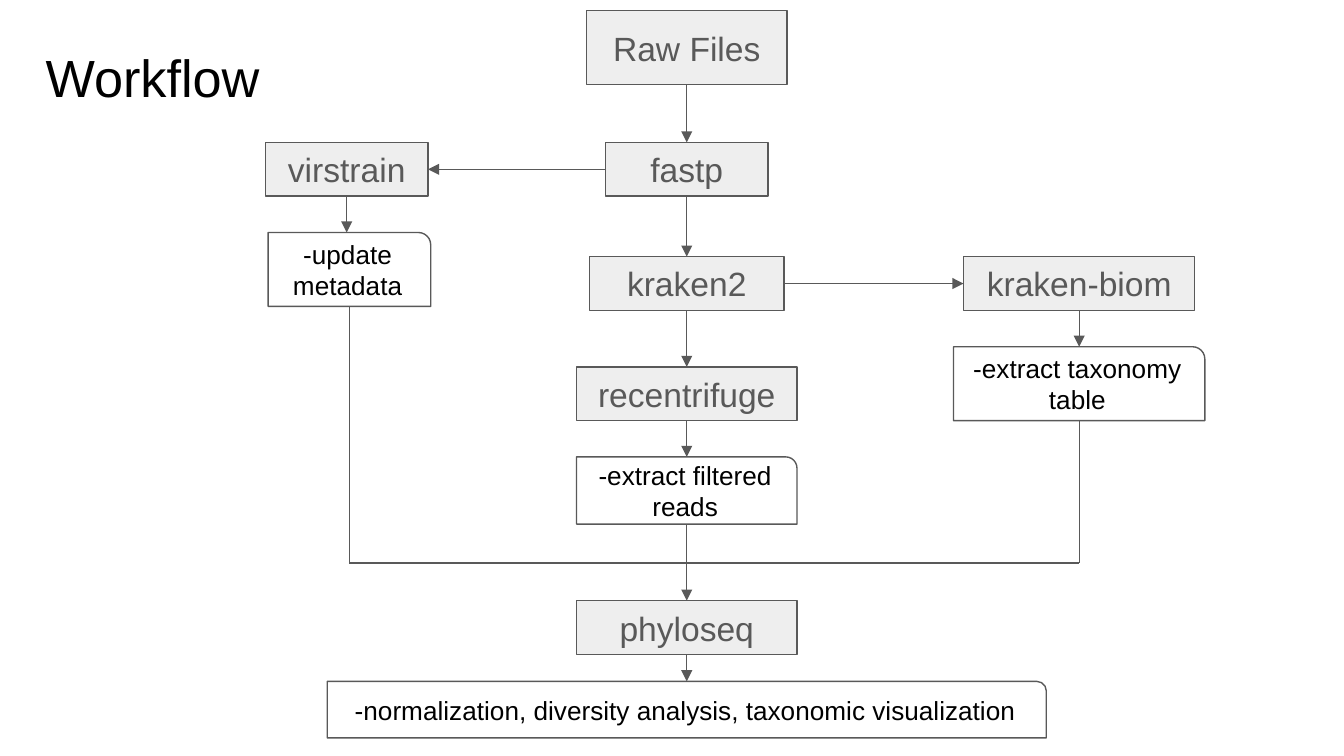
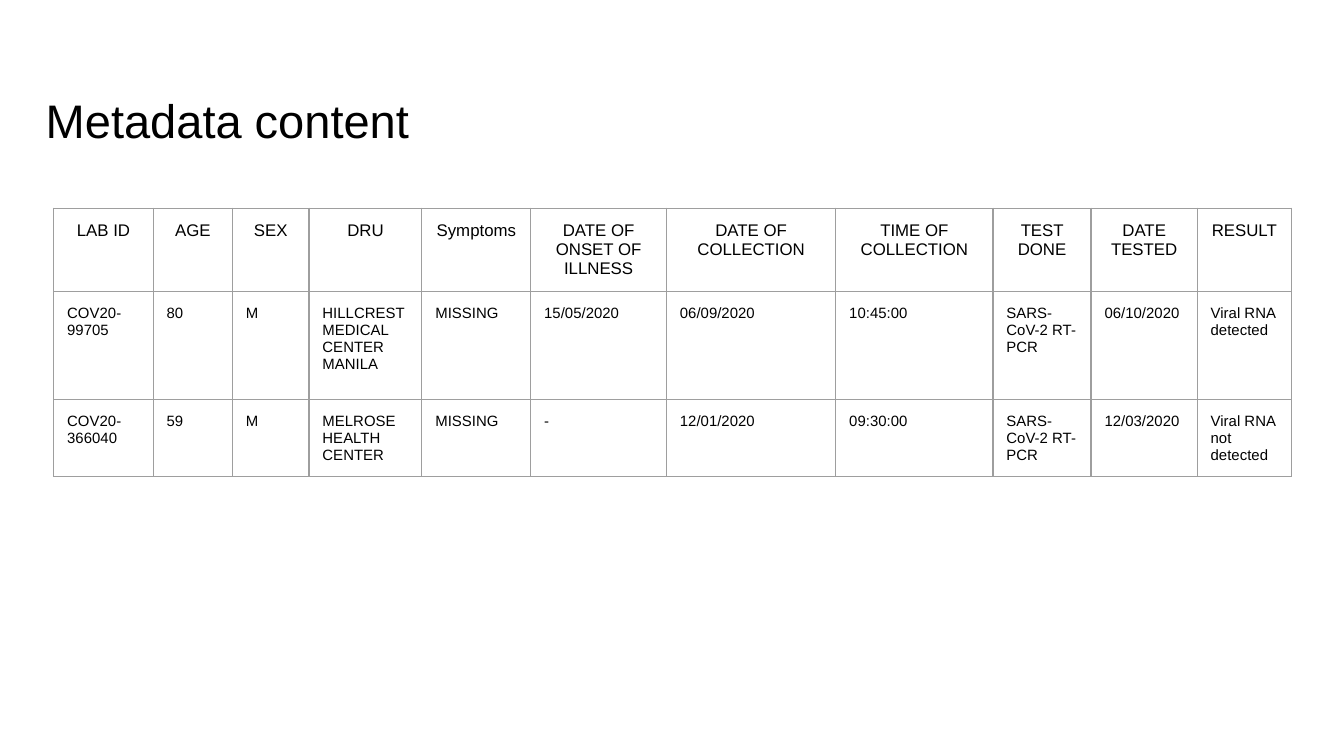
from dataclasses import dataclass

from lxml import etree
from pptx import Presentation
from pptx.dml.color import RGBColor
from pptx.enum.shapes import MSO_CONNECTOR, MSO_SHAPE
from pptx.enum.text import MSO_ANCHOR, MSO_AUTO_SIZE, PP_ALIGN
from pptx.oxml.ns import qn
from pptx.util import Inches, Pt

LEFT_ALIGN, CENTER = PP_ALIGN.LEFT, PP_ALIGN.CENTER
TOP, MIDDLE = MSO_ANCHOR.TOP, MSO_ANCHOR.MIDDLE
RECTANGLE, ROUNDED_CORNER = MSO_SHAPE.RECTANGLE, MSO_SHAPE.ROUND_1_RECTANGLE
STRAIGHT = MSO_CONNECTOR.STRAIGHT
ABOVE, WEST, BELOW, EAST = range(4)


@dataclass(frozen=True)
class Theme:
    font: str = "Arial"
    ink: RGBColor = RGBColor(0x00, 0x00, 0x00)
    paper: RGBColor = RGBColor(0xFF, 0xFF, 0xFF)
    gray: RGBColor = RGBColor(0x59, 0x59, 0x59)
    tool_fill: RGBColor = RGBColor(0xEE, 0xEE, 0xEE)
    border: str = "9E9E9E"
    tool_size: float = 18
    note_size: float = 14
    header_size: float = 9
    cell_size: float = 8
    line: float = 0.75
    inset: float = 0.1


theme = Theme()


def write(frame, text, size, color, align):
    para = frame.paragraphs[0]
    para.alignment = align
    span = para.add_run()
    span.text = text
    span.font.name = theme.font
    span.font.size = Pt(size)
    span.font.bold = False
    span.font.color.rgb = color


def link(page, start, end, arrow=True):
    """Draw a line between two ends, each a (box, side) or an (x, y) in inches."""
    fixed = [isinstance(point[0], (int, float)) for point in (start, end)]
    ends = [[Inches(value) for value in point] if free else [0, 0]
            for point, free in zip((start, end), fixed)]
    connector = page.shapes.add_connector(STRAIGHT, *ends[0], *ends[1])
    if not fixed[0]:
        connector.begin_connect(*start)
    if not fixed[1]:
        connector.end_connect(*end)
    connector.line.color.rgb = theme.gray
    connector.line.width = Pt(theme.line)
    if arrow:
        outline = connector.line._get_or_add_ln()
        etree.SubElement(outline, qn("a:tailEnd"), type="triangle")
    etree.SubElement(connector._element.spPr, qn("a:effectLst"))


deck = Presentation()
deck.slide_width = Inches(10)
deck.slide_height = deck.slide_width * 9 // 16
title_only = deck.slide_layouts[5]

# Pages and their titles: text, top, width, type size
titles = [
    ("Workflow", 0.24, 2.29, 28),
    ("Metadata content", 0.58, 3.15, 25.2),
]
pages = []
for text, top, width, size in titles:
    page = deck.slides.add_slide(title_only)
    page.background.fill.solid()
    page.background.fill.fore_color.rgb = theme.paper
    title = page.shapes.title
    title.left, title.top = Inches(0.24), Inches(top)
    title.width, title.height = Inches(width), Inches(0.81)
    frame = title.text_frame
    frame.auto_size = MSO_AUTO_SIZE.NONE
    frame.vertical_anchor = TOP
    frame.margin_left = frame.margin_right = Inches(theme.inset)
    frame.margin_top = frame.margin_bottom = Inches(theme.inset)
    write(frame, text, size, theme.ink, LEFT_ALIGN)
    pages.append(page)
workflow, metadata = pages

# Workflow: centres of the three columns, and tops of the rows
WEST_COLUMN, MAIN_COLUMN, EAST_COLUMN = 2.58, 5.11, 8.03
FASTP_ROW, KRAKEN_ROW, FILTER_ROW, MERGE_ROW = 1.06, 1.91, 2.73, 4.47
TOOL_HEIGHT, NOTE_HEIGHT = 0.4, 0.55
NOTE_DROP = TOOL_HEIGHT + 0.27
METADATA_CENTER = WEST_COLUMN + 0.02

# Text, centre, top, width, height
tools = [
    ("Raw Files", MAIN_COLUMN, 0.08, 1.49, 0.55),
    ("fastp", MAIN_COLUMN, FASTP_ROW, 1.21, TOOL_HEIGHT),
    ("virstrain", WEST_COLUMN, FASTP_ROW, 1.21, TOOL_HEIGHT),
    ("kraken2", MAIN_COLUMN, KRAKEN_ROW, 1.45, TOOL_HEIGHT),
    ("kraken-biom", EAST_COLUMN, KRAKEN_ROW, 1.72, TOOL_HEIGHT),
    ("recentrifuge", MAIN_COLUMN, FILTER_ROW, 1.64, TOOL_HEIGHT),
    ("phyloseq", MAIN_COLUMN, MERGE_ROW, 1.64, TOOL_HEIGHT),
]
notes = [
    ("-update metadata", METADATA_CENTER, FASTP_ROW + NOTE_DROP, 1.21, NOTE_HEIGHT),
    ("-extract taxonomy table", EAST_COLUMN, KRAKEN_ROW + NOTE_DROP, 1.87, NOTE_HEIGHT),
    ("-extract filtered reads", MAIN_COLUMN, FILTER_ROW + NOTE_DROP, 1.64, 0.5),
    ("-normalization, diversity analysis, taxonomic visualization",
     MAIN_COLUMN, MERGE_ROW + 0.6, 5.35, 0.42),
]
styles = [
    (tools, RECTANGLE, theme.tool_fill, theme.tool_size, theme.gray),
    (notes, ROUNDED_CORNER, theme.paper, theme.note_size, theme.ink),
]
boxes = {}
for entries, outline, fill, size, color in styles:
    for text, center, top, width, height in entries:
        box = workflow.shapes.add_shape(
            outline, Inches(center - width / 2), Inches(top), Inches(width), Inches(height))
        box.shadow.inherit = False
        box.fill.solid()
        box.fill.fore_color.rgb = fill
        box.line.color.rgb = theme.gray
        box.line.width = Pt(theme.line)
        frame = box.text_frame
        frame.word_wrap = True
        frame.vertical_anchor = MIDDLE
        frame.margin_left = frame.margin_right = Inches(theme.inset)
        frame.margin_top = frame.margin_bottom = Inches(theme.inset)
        write(frame, text, size, color, CENTER)
        boxes[text] = box

downward = [
    ("Raw Files", "fastp"),
    ("fastp", "kraken2"),
    ("kraken2", "recentrifuge"),
    ("kraken-biom", "-extract taxonomy table"),
    ("recentrifuge", "-extract filtered reads"),
    ("phyloseq", notes[-1][0]),
]
for upper, lower in downward:
    link(workflow, (boxes[upper], BELOW), (boxes[lower], ABOVE))
link(workflow, (boxes["virstrain"], BELOW), (WEST_COLUMN, FASTP_ROW + NOTE_DROP))
link(workflow, (boxes["fastp"], WEST), (boxes["virstrain"], EAST))
link(workflow, (boxes["kraken2"], EAST), (boxes["kraken-biom"], WEST))

# The three branches meet on one rail above phyloseq
RAIL = 4.19
rail_ends = [METADATA_CENTER, MAIN_COLUMN, EAST_COLUMN]
for note, x in zip(["-update metadata", "-extract filtered reads",
                    "-extract taxonomy table"], rail_ends):
    link(workflow, (boxes[note], BELOW), (x, RAIL), arrow=False)
link(workflow, (rail_ends[0], RAIL), (rail_ends[-1], RAIL), arrow=False)
link(workflow, (MAIN_COLUMN, RAIL), (boxes["phyloseq"], ABOVE))

# Metadata table
column_widths = [0.74, 0.59, 0.57, 0.84, 0.81, 1.01, 1.26, 1.17, 0.73, 0.79, 0.7]
row_heights = [0.42, 0.8, 0.42]
records = [
    ["LAB ID", "AGE", "SEX", "DRU", "Symptoms", "DATE OF ONSET OF ILLNESS",
     "DATE OF COLLECTION", "TIME OF COLLECTION", "TEST DONE", "DATE TESTED", "RESULT"],
    ["COV20-99705", "80", "M", "HILLCREST MEDICAL CENTER MANILA", "MISSING", "15/05/2020",
     "06/09/2020", "10:45:00", "SARS-CoV-2 RT-PCR", "06/10/2020", "Viral RNA detected"],
    ["COV20-366040", "59", "M", "MELROSE HEALTH CENTER", "MISSING", "-",
     "12/01/2020", "09:30:00", "SARS-CoV-2 RT-PCR", "12/03/2020", "Viral RNA not detected"],
]
table = metadata.shapes.add_table(
    len(records), len(column_widths), Inches(0.4), Inches(1.55),
    Inches(sum(column_widths)), Inches(sum(row_heights))).table
table.first_row = table.horz_banding = False
for column, width in zip(table.columns, column_widths):
    column.width = Inches(width)
for row, height in zip(table.rows, row_heights):
    row.height = Inches(height)

for row_index, record in enumerate(records):
    header = row_index == 0
    for column_index, text in enumerate(record):
        cell = table.cell(row_index, column_index)
        cell.margin_left = cell.margin_right = Inches(theme.inset)
        cell.margin_top = cell.margin_bottom = Inches(theme.inset)
        cell.vertical_anchor = TOP
        properties = cell._tc.get_or_add_tcPr()
        for side in ("a:lnL", "a:lnR", "a:lnT", "a:lnB"):
            edge = etree.SubElement(properties, qn(side), w=str(Pt(theme.line)))
            paint = etree.SubElement(edge, qn("a:solidFill"))
            etree.SubElement(paint, qn("a:srgbClr"), val=theme.border)
        cell.fill.background()
        write(cell.text_frame, text, theme.header_size if header else theme.cell_size,
              theme.ink, CENTER if header else LEFT_ALIGN)

deck.save("out.pptx")
